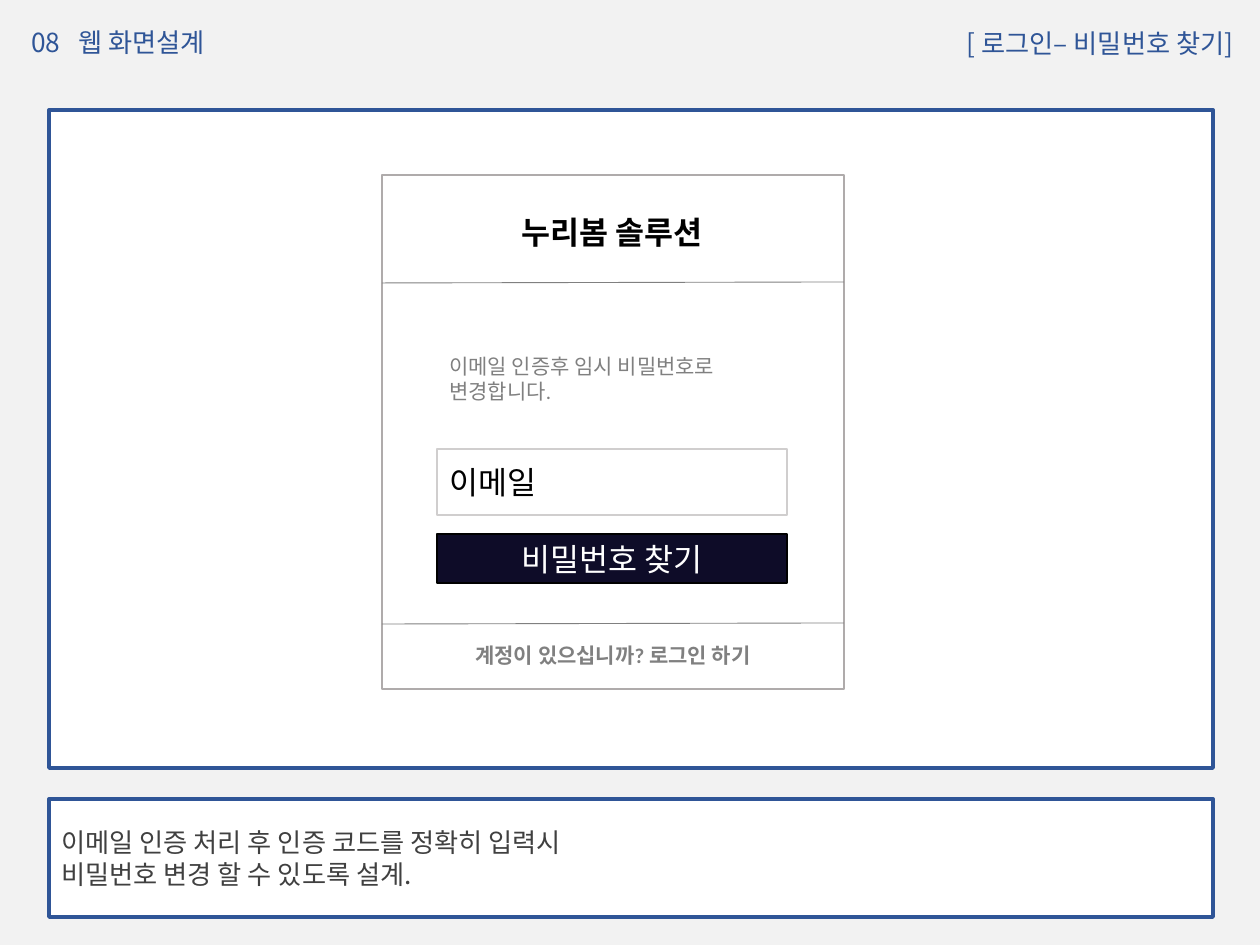
from pptx import Presentation
from pptx.dml.color import RGBColor
from pptx.enum.shapes import MSO_CONNECTOR, MSO_SHAPE
from pptx.enum.text import MSO_ANCHOR, PP_ALIGN
from pptx.oxml.ns import qn
from pptx.util import Pt
from lxml import etree

EMU_PER_PX = 914400 / 126
SLIDE_WIDTH, SLIDE_HEIGHT = 1260, 945
RECTANGLE, STRAIGHT = MSO_SHAPE.RECTANGLE, MSO_CONNECTOR.STRAIGHT
LEFT, CENTER, RIGHT = PP_ALIGN.LEFT, PP_ALIGN.CENTER, PP_ALIGN.RIGHT
TOP, MIDDLE = MSO_ANCHOR.TOP, MSO_ANCHOR.MIDDLE

WHITE = RGBColor(0xFF, 0xFF, 0xFF)
BLACK = RGBColor(0x00, 0x00, 0x00)
BLUE = RGBColor(0x2F, 0x55, 0x97)
NAVY = RGBColor(0x0E, 0x0C, 0x28)
BACKDROP = RGBColor(0xF2, 0xF2, 0xF2)
DARK_GRAY = RGBColor(0x40, 0x40, 0x40)
GRAY = RGBColor(0x80, 0x80, 0x80)
CARD_BORDER = RGBColor(0xAF, 0xAB, 0xAB)
FIELD_BORDER = RGBColor(0xD0, 0xCE, 0xCE)

KOREAN_FONT, LATIN_FONT = "Noto Sans CJK KR", "Calibri"

# Text styles: font, size, colour, bold
HEADER = (KOREAN_FONT, 15, BLUE, False)
NOTE = (KOREAN_FONT, 15, DARK_GRAY, False)
TITLE = (LATIN_FONT, 18, BLACK, True)
FIELD = (LATIN_FONT, 18, BLACK, False)
BUTTON = (LATIN_FONT, 18, WHITE, False)
HINT = (LATIN_FONT, 12, GRAY, False)
FOOTER = (LATIN_FONT, 12, GRAY, True)

# Boxes in px: left, top, width, height
MAIN_FRAME = (49, 110, 1164, 658)
NOTE_FRAME = (49, 799, 1164, 118)
CARD = (382, 175, 462, 514)
COLUMN_LEFT, COLUMN_WIDTH = 437, 350
SECTION_TAB = 47

NOTE_LINES = ["이메일 인증 처리 후 인증 코드를 정확히 입력시", "비밀번호 변경 할 수 있도록 설계."]
HEADERS = [
    ((19, 20, 370, 44), "08\t웹 화면설계", LEFT),
    ((742, 21, 504, 44), "[ 로그인– 비밀번호 찾기]", RIGHT),
]
# Card controls: top, height, fill, border, text, style, alignment
CONTROLS = [
    (534, 49, NAVY, BLACK, "비밀번호 찾기", BUTTON, CENTER),
    (449, 66, WHITE, FIELD_BORDER, "이메일", FIELD, LEFT),
]
# Card texts: box, text, style, alignment, anchor
CARD_TEXTS = [
    ((COLUMN_LEFT, 186, COLUMN_WIDTH, 92), "누리봄 솔루션", TITLE, CENTER, MIDDLE),
    ((410, 636, 406, 38), "계정이 있으십니까? 로그인 하기", FOOTER, CENTER, TOP),
    ((COLUMN_LEFT, 347, COLUMN_WIDTH, 63), "이메일 인증후 임시 비밀번호로 변경합니다.", HINT, LEFT, TOP),
]
DIVIDER_TOPS = [282, 623]


def px(length):
    return round(length * EMU_PER_PX)


def write(shape, lines, style, alignment, anchor):
    font_name, size, color, bold = style
    frame = shape.text_frame
    frame.word_wrap = True
    frame.vertical_anchor = anchor
    for index, line in enumerate(lines):
        paragraph = frame.add_paragraph() if index else frame.paragraphs[0]
        paragraph.alignment = alignment
        if "\t" in line:
            tabs = etree.SubElement(paragraph._p.get_or_add_pPr(), qn("a:tabLst"))
            etree.SubElement(tabs, qn("a:tab"), pos=str(px(SECTION_TAB)), algn="l")
        run = paragraph.add_run()
        run.text = line
        run.font.name = font_name
        run.font.size = Pt(size)
        run.font.bold = bold
        run.font.color.rgb = color
        etree.SubElement(run._r.get_or_add_rPr(), qn("a:ea"), typeface=KOREAN_FONT)


def add_box(shapes, box, fill, border=None, width=1):
    shape = shapes.add_shape(RECTANGLE, *map(px, box))
    shape.shadow.inherit = False
    shape.fill.solid()
    shape.fill.fore_color.rgb = fill
    if border is None:
        shape.line.fill.background()
    else:
        shape.line.color.rgb = border
        shape.line.width = Pt(width)
    return shape


def add_text(shapes, box, text, style, alignment, anchor=TOP):
    write(shapes.add_textbox(*map(px, box)), [text], style, alignment, anchor)


def add_divider(shapes, top):
    """Draw a card divider that rises by one px to the right."""
    left, _, width, _ = CARD
    line = shapes.add_connector(STRAIGHT, px(left), px(top + 1), px(left + width), px(top))
    line.line.color.rgb = GRAY
    line.line.width = Pt(0.5)
    etree.SubElement(line._element.spPr, qn("a:effectLst"))


def add_login_card(slide):
    shapes = slide.shapes.add_group_shape().shapes
    add_box(shapes, CARD, WHITE, CARD_BORDER)
    for top, height, fill, border, text, style, alignment in CONTROLS:
        control = add_box(shapes, (COLUMN_LEFT, top, COLUMN_WIDTH, height), fill, border)
        write(control, [text], style, alignment, MIDDLE)
    for top in DIVIDER_TOPS:
        add_divider(shapes, top)
    for card_text in CARD_TEXTS:
        add_text(shapes, *card_text)


def main():
    presentation = Presentation()
    presentation.slide_width = px(SLIDE_WIDTH)
    presentation.slide_height = px(SLIDE_HEIGHT)
    slide = presentation.slides.add_slide(presentation.slide_layouts[6])

    add_box(slide.shapes, (0, 0, SLIDE_WIDTH, SLIDE_HEIGHT), BACKDROP)
    add_box(slide.shapes, MAIN_FRAME, WHITE, BLUE, 2.25)
    note = add_box(slide.shapes, NOTE_FRAME, WHITE, BLUE, 2.25)
    write(note, NOTE_LINES, NOTE, LEFT, MIDDLE)
    for box, text, alignment in HEADERS:
        add_text(slide.shapes, box, text, HEADER, alignment)
    add_login_card(slide)

    presentation.save("out.pptx")


if __name__ == "__main__":
    main()
